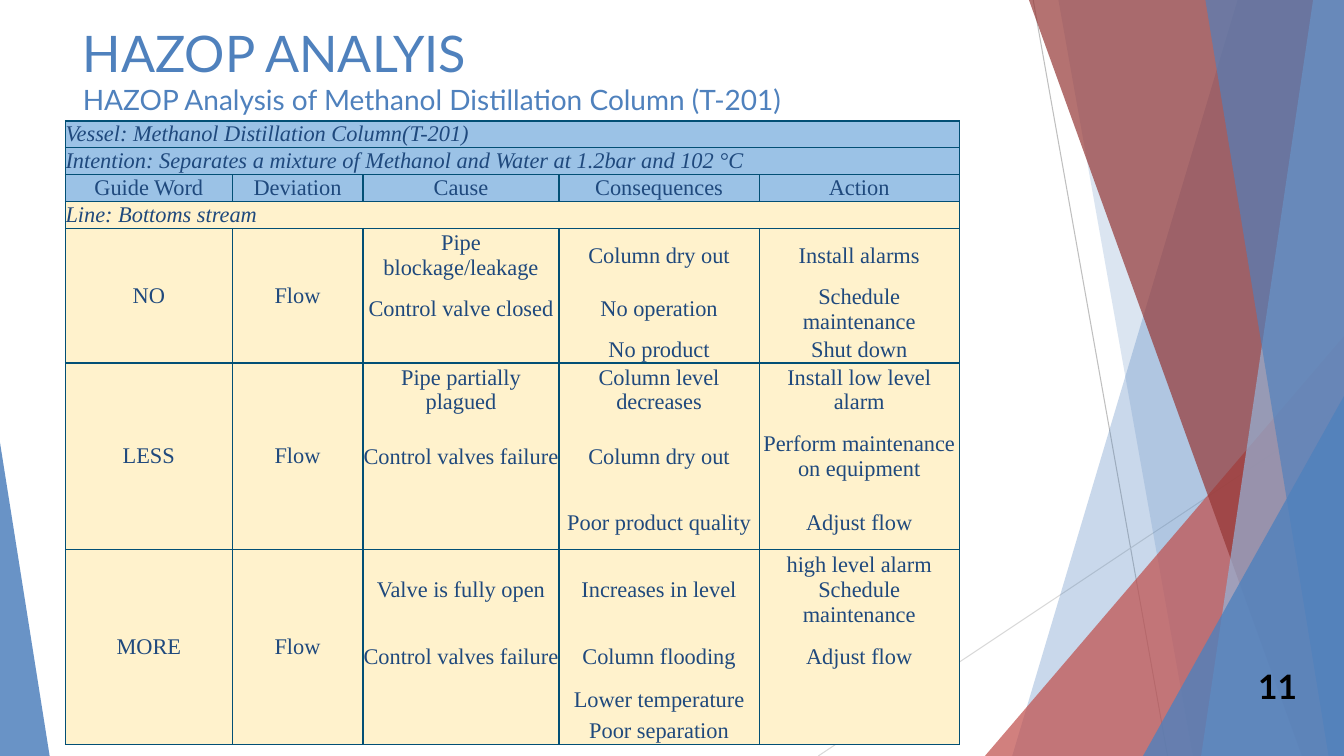
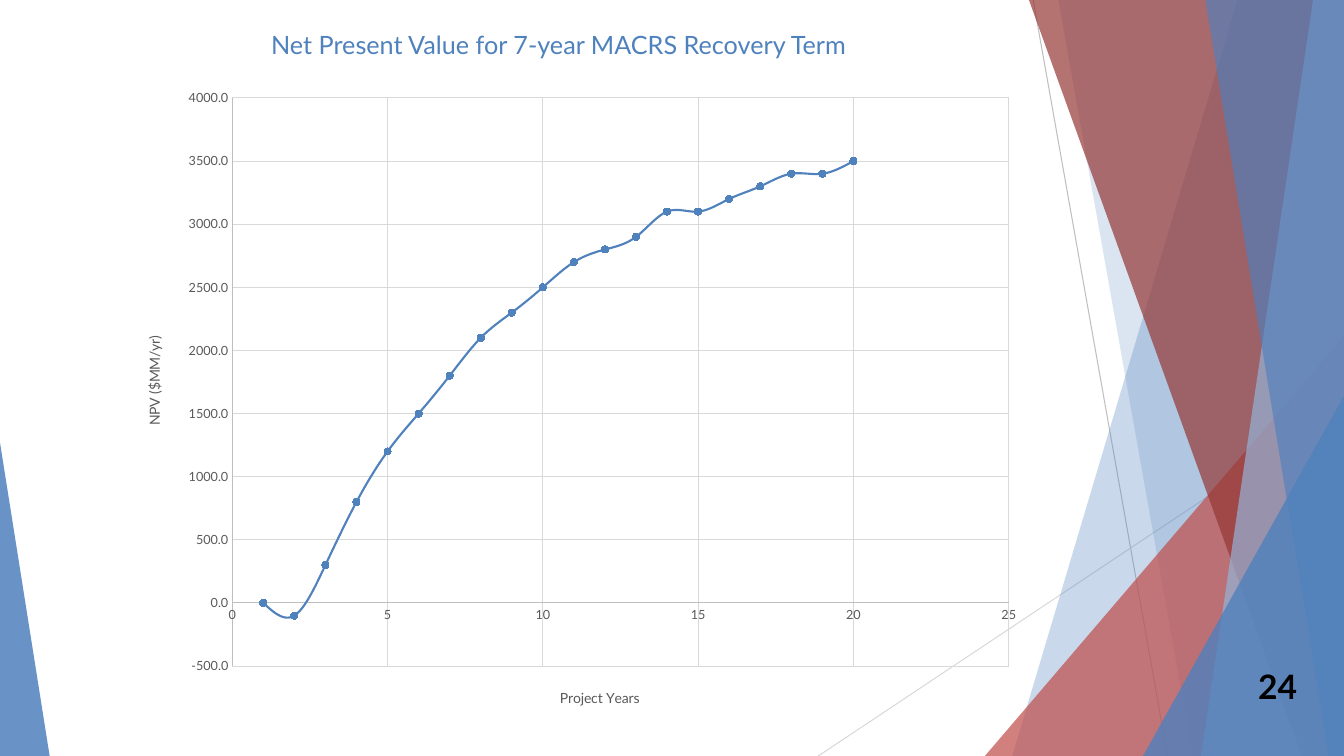
"""Build a HAZOP table slide and a net present value chart slide on a shared faceted master."""
from lxml.etree import SubElement
from pptx import Presentation
from pptx.chart.data import XyChartData
from pptx.dml.color import RGBColor
from pptx.enum.chart import XL_CHART_TYPE, XL_MARKER_STYLE, XL_TICK_MARK
from pptx.enum.shapes import MSO_CONNECTOR, MSO_SHAPE
from pptx.enum.text import MSO_ANCHOR, MSO_AUTO_SIZE, PP_ALIGN
from pptx.oxml.ns import qn
from pptx.util import Pt

BLUE, RED, DARK_RED, PALE_BLUE = "4F81BD", "C0504D", "953735", "95B3D7"
NAVY, BORDER, HEADER_FILL, BODY_FILL = "1F497D", "024F75", "9BC2E6", "FFF2CC"
GRAY, AXIS_GRAY, GRID_GRAY = "595959", "BFBFBF", "D9D9D9"
WIDTH, HEIGHT = 960, 540

TITLE = {"name": "Lato", "size": Pt(36), "bold": False, "color": BLUE}
SUBTITLE = {**TITLE, "size": Pt(20)}
CHART_HEADING = {**TITLE, "size": Pt(18)}
PAGE_NUMBER = {"name": "Lato", "size": Pt(24), "bold": True, "color": "000000"}
CELL = {"name": "Times New Roman", "size": Pt(16), "bold": False, "color": NAVY}
TICK_LABEL = {"name": "Lato", "size": Pt(9), "bold": False, "color": GRAY}
AXIS_TITLE = {**TICK_LABEL, "size": Pt(10)}


def rgb(value):
    return RGBColor.from_string(value)


def format_font(font, style):
    for name, value in style.items():
        if name == "color":
            font.color.rgb = rgb(value)
        else:
            setattr(font, name, value)


deck = Presentation()
deck.slide_width, deck.slide_height = Pt(WIDTH), Pt(HEIGHT)
layout = deck.slide_layouts[5]
table_page, chart_page = [deck.slides.add_slide(layout) for _ in range(2)]

facets = []
for start, end, color in [
    ((738, 0), (834, HEIGHT), AXIS_GRAY),
    ((WIDTH, 290), (584.5, HEIGHT), GRID_GRAY),
]:
    line = table_page.shapes.add_connector(
        MSO_CONNECTOR.STRAIGHT, *[Pt(length) for length in start + end]
    )
    line.line.color.rgb = rgb(color)
    line.line.width = Pt(0.75)
    SubElement(line.element.spPr, qn("a:effectLst"))
    facets.append(line)

for kind, geometry, color, opacity in [
    ("band", (884, 723), BLUE, 30),
    ("band", (756, 852), BLUE, 20),
    ("triangle", (703.5, 240, WIDTH, 1), RED, 72),
    ("band", (735, 929.5), DARK_RED, 70),
    ("band", (938, 858), PALE_BLUE, 70),
    ("band", (861, 949), BLUE, 65),
    ("triangle", (816.5, 283, WIDTH, 1), BLUE, 80),
    ("triangle", (0, 316, 35.5, 0), BLUE, 85),
]:
    if kind == "band":
        top_x, bottom_x = geometry
        builder = table_page.shapes.build_freeform(top_x, 0, scale=Pt(1))
        builder.add_line_segments([(WIDTH, 0), (WIDTH, HEIGHT), (bottom_x, HEIGHT)])
        facet = builder.convert_to_shape()
    else:
        left, top, right, apex = geometry
        facet = table_page.shapes.add_shape(
            MSO_SHAPE.ISOSCELES_TRIANGLE, Pt(left), Pt(top), Pt(right - left), Pt(HEIGHT - top)
        )
        facet.adjustments[0] = apex
    facet.shadow.inherit = False
    facet.fill.solid()
    facet.fill.fore_color.rgb = rgb(color)
    facet.line.fill.background()
    fill_color = facet.element.find(".//" + qn("a:srgbClr"))
    SubElement(fill_color, qn("a:alpha"), val=str(opacity * 1000))
    facets.append(facet)

for position, facet in enumerate(facets, start=2):
    deck.slide_master.shapes.element.insert(position, facet.element)

for page, number, bounds, lines in [
    (table_page, "11", (52, 12, 677, 104), [
        ("HAZOP ANALYIS", TITLE),
        ("HAZOP Analysis of Methanol Distillation Column (T-201)", SUBTITLE),
    ]),
    (chart_page, "24", (186.5, 17.5, 520, 29), [
        ("Net Present Value for 7-year MACRS Recovery Term", CHART_HEADING),
    ]),
]:
    title = page.shapes.title
    title.left, title.top, title.width, title.height = [Pt(length) for length in bounds]
    frame = title.text_frame
    frame.auto_size = MSO_AUTO_SIZE.NONE
    frame.vertical_anchor = MSO_ANCHOR.TOP
    para = frame.paragraphs[0]
    para.alignment = PP_ALIGN.LEFT
    for index, (text, style) in enumerate(lines):
        if index:
            para.add_line_break()
        span = para.add_run()
        span.text = text
        format_font(span.font, style)

    box = page.shapes.add_textbox(Pt(879.5), Pt(475.5), Pt(54), Pt(29))
    frame = box.text_frame
    frame.word_wrap = True
    frame.vertical_anchor = MSO_ANCHOR.MIDDLE
    para = frame.paragraphs[0]
    para.alignment = PP_ALIGN.RIGHT
    span = para.add_run()
    span.text = number
    format_font(span.font, PAGE_NUMBER)

rows = [
    ["Vessel: Methanol Distillation Column(T-201)"],
    ["Intention: Separates a mixture of Methanol and Water at 1.2bar and 102 °C"],
    ["Guide Word", "Deviation", "Cause", "Consequences", "Action"],
    ["Line: Bottoms stream"],
    ["NO", "Flow", "Pipe blockage/leakage", "Column dry out", "Install alarms"],
    ["", "", "Control valve closed", "No operation", "Schedule maintenance"],
    ["", "", "", "No product", "Shut down"],
    ["LESS", "Flow", "Pipe partially plagued", "Column level decreases", "Install low level alarm"],
    ["", "", "Control valves failure", "Column dry out", "Perform maintenance on equipment"],
    ["", "", "", "Poor product quality", "Adjust flow"],
    ["MORE", "Flow", "Valve is fully open", "Increases in level",
     "high level alarm Schedule maintenance"],
    ["", "", "Control valves failure", "Column flooding", "Adjust flow"],
    ["", "", "", "Lower temperature", ""],
    ["", "", "", "Poor separation", ""],
]
row_heights = [19.2] * 4 + [38, 38, 19.2, 38, 56.7, 38, 56.7, 38, 24.5, 19.2]
column_widths = [119, 93.5, 140, 143, 143]
group_starts = [row for row, texts in enumerate(rows) if texts[0]] + [len(rows)]

table_frame = table_page.shapes.add_table(
    len(rows), len(column_widths), Pt(46.8), Pt(86.4), Pt(sum(column_widths)), Pt(sum(row_heights))
)
table_frame.element.find(".//" + qn("a:tableStyleId")).text = "{2D5ABB26-0587-4C30-8999-92F81FD0307C}"
table = table_frame.table
table.first_row = table.horz_banding = False
for column, width in zip(table.columns, column_widths):
    column.width = Pt(width)

for row, (texts, height) in enumerate(zip(rows, row_heights)):
    table.rows[row].height = Pt(height)
    heading = len(texts) == 1
    for column in range(len(column_widths)):
        cell = table.cell(row, column)
        merged = column < 2
        borders = {
            "L": True,
            "R": True,
            "T": merged or row in group_starts,
            "B": merged or row + 1 in group_starts,
        }
        properties = cell._tc.get_or_add_tcPr()
        for side, visible in borders.items():
            border = SubElement(properties, qn("a:ln" + side), w=str(Pt(1)))
            if visible:
                border_fill = SubElement(border, qn("a:solidFill"))
                SubElement(border_fill, qn("a:srgbClr"), val=BORDER)
            else:
                SubElement(border, qn("a:noFill"))
        cell.fill.solid()
        cell.fill.fore_color.rgb = rgb(HEADER_FILL if row < 3 else BODY_FILL)
        cell.margin_left = cell.margin_right = cell.margin_top = cell.margin_bottom = 0
        cell.vertical_anchor = MSO_ANCHOR.MIDDLE
        para = cell.text_frame.paragraphs[0]
        para.alignment = PP_ALIGN.LEFT if heading else PP_ALIGN.CENTER
        text = texts[column] if column < len(texts) else ""
        if text:
            span = para.add_run()
            span.text = text
            format_font(span.font, {**CELL, "italic": heading})
        else:
            SubElement(para._p, qn("a:endParaRPr"), sz="1600")
    if heading:
        table.cell(row, 0).merge(table.cell(row, len(column_widths) - 1))

for start, end in zip(group_starts, group_starts[1:]):
    if end - start > 1:
        for column in range(2):
            table.cell(start, column).merge(table.cell(end - 1, column))

present_values = [
    0, -100, 300, 800, 1200, 1500, 1800, 2100, 2300, 2500,
    2700, 2800, 2900, 3100, 3100, 3200, 3300, 3400, 3400, 3500,
]
chart_data = XyChartData()
points = chart_data.add_series("Series 1")
for year, value in enumerate(present_values, start=1):
    points.add_data_point(year, value)
chart = chart_page.shapes.add_chart(
    XL_CHART_TYPE.XY_SCATTER_SMOOTH, Pt(88.5), Pt(56), Pt(645), Pt(466.5), chart_data
).chart
chart.has_title = chart.has_legend = False
format_font(chart.font, AXIS_TITLE)
chart.plots[0].vary_by_categories = False

series = chart.plots[0].series[0]
series.format.line.color.rgb = rgb(BLUE)
series.format.line.width = Pt(1.5)
series.marker.style = XL_MARKER_STYLE.CIRCLE
series.marker.size = 5
series.marker.format.fill.solid()
series.marker.format.fill.fore_color.rgb = rgb(BLUE)
series.marker.format.line.color.rgb = rgb(BLUE)
for old in chart.element.findall(".//" + qn("c:smooth")):
    old.getparent().remove(old)
SubElement(chart.element.find(".//" + qn("c:ser")), qn("c:smooth"), val="1")

plot_area = chart.element.find(".//" + qn("c:plotArea"))
placements = [(plot_area, 0, {"x": 0.12, "y": 0.03, "w": 0.86, "h": 0.87})]
for axis, text, limits, number_format, turn, spot in [
    (chart.category_axis, "Project Years", (0, 25, 5), "General", 0, {"x": 0.48, "y": 0.93}),
    (chart.value_axis, "NPV ($MM/yr)", (-500, 4000, 500), "0.0", -90, {"x": 0.02, "y": 0.39}),
]:
    axis.minimum_scale, axis.maximum_scale, axis.major_unit = limits
    axis.major_tick_mark = axis.minor_tick_mark = XL_TICK_MARK.NONE
    axis.has_major_gridlines = True
    for line, color in [
        (axis.format.line, AXIS_GRAY),
        (axis.major_gridlines.format.line, GRID_GRAY),
    ]:
        line.color.rgb = rgb(color)
        line.width = Pt(0.75)
    axis.tick_labels.number_format = number_format
    axis.tick_labels.number_format_is_linked = False
    format_font(axis.tick_labels.font, TICK_LABEL)
    span = axis.axis_title.text_frame.paragraphs[0].add_run()
    span.text = text
    format_font(span.font, AXIS_TITLE)
    title_element = axis.axis_title.element
    body = title_element.find(".//" + qn("a:bodyPr"))
    body.set("rot", str(turn * 60000))
    body.set("vert", "horz")
    placements.append((title_element, 1, spot))

for element, position, fractions in placements:
    for old in element.findall(qn("c:layout")):
        element.remove(old)
    placement = SubElement(element, qn("c:layout"))
    element.insert(position, placement)
    manual = SubElement(placement, qn("c:manualLayout"))
    if "w" in fractions:
        SubElement(manual, qn("c:layoutTarget"), val="inner")
    for name in "xy":
        SubElement(manual, qn(f"c:{name}Mode"), val="edge")
    for name, fraction in fractions.items():
        SubElement(manual, qn("c:" + name), val=str(fraction))

deck.save("out.pptx")
